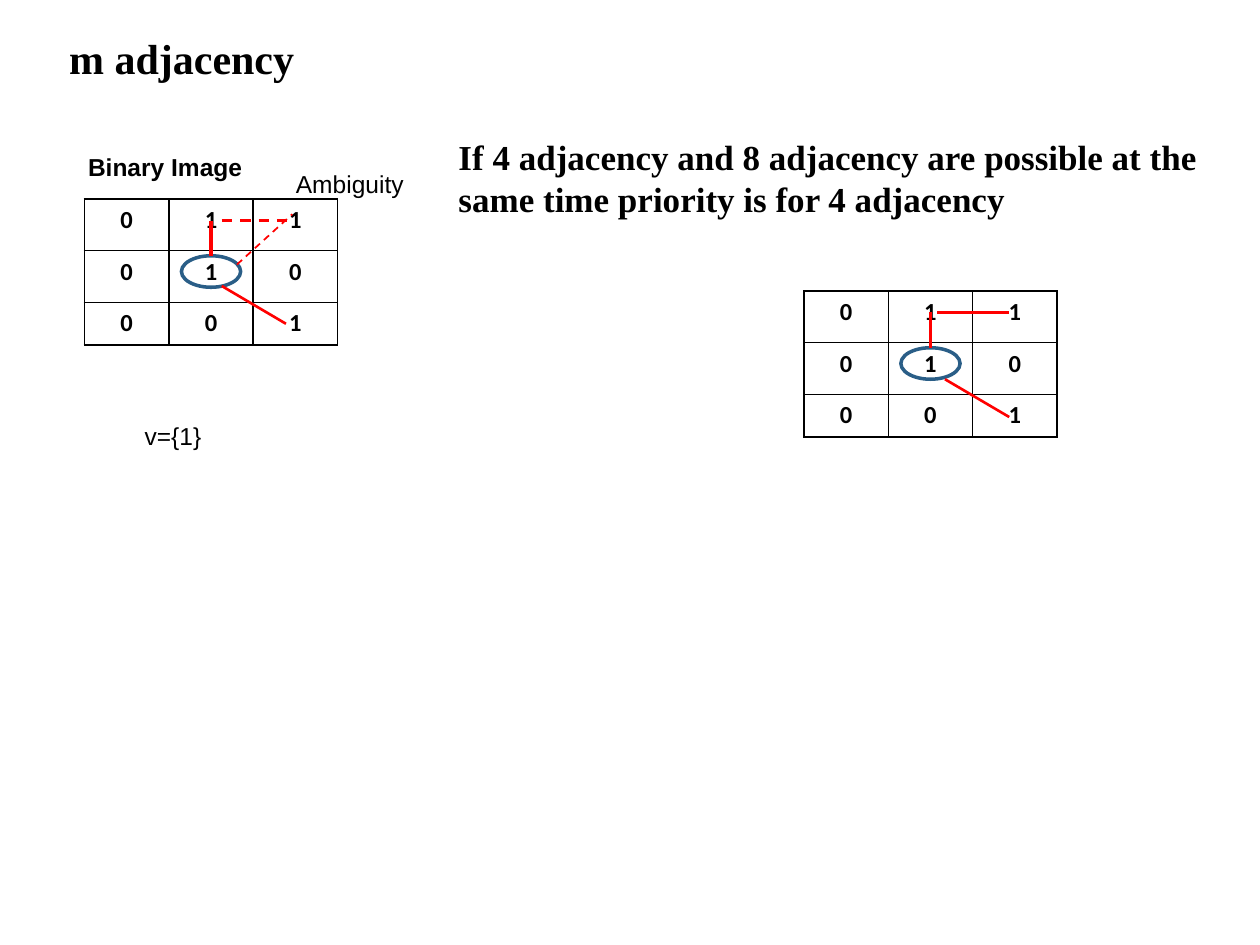
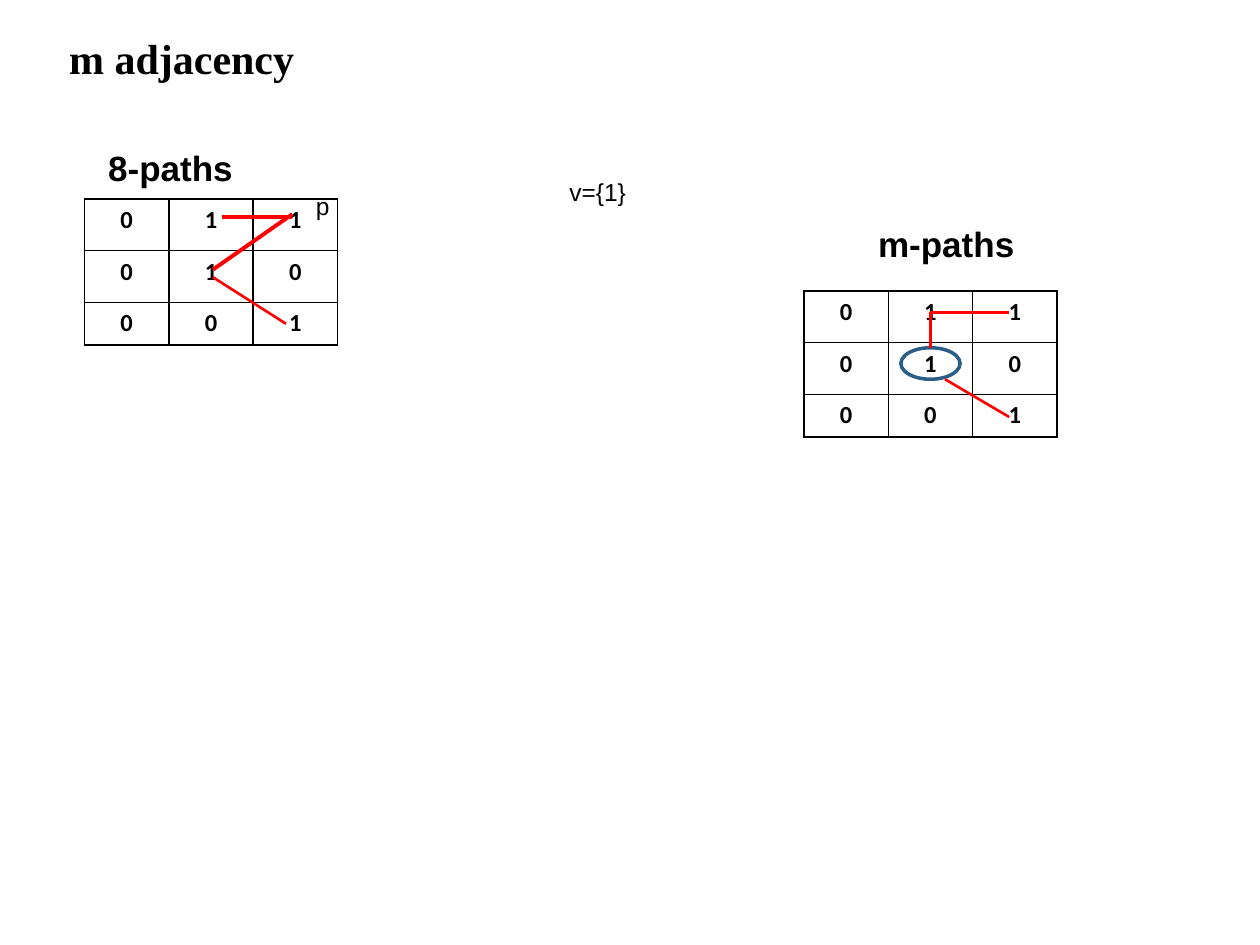
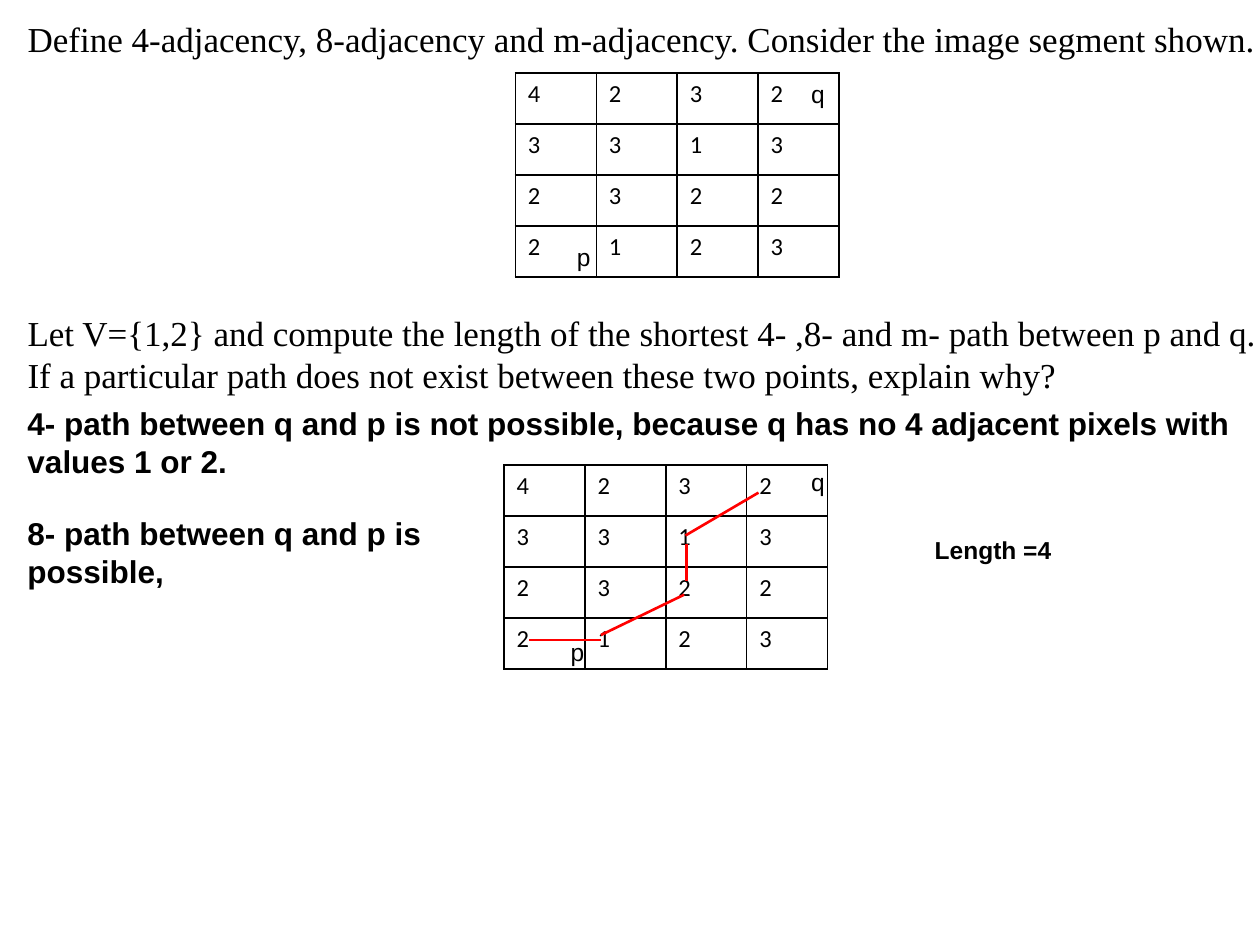
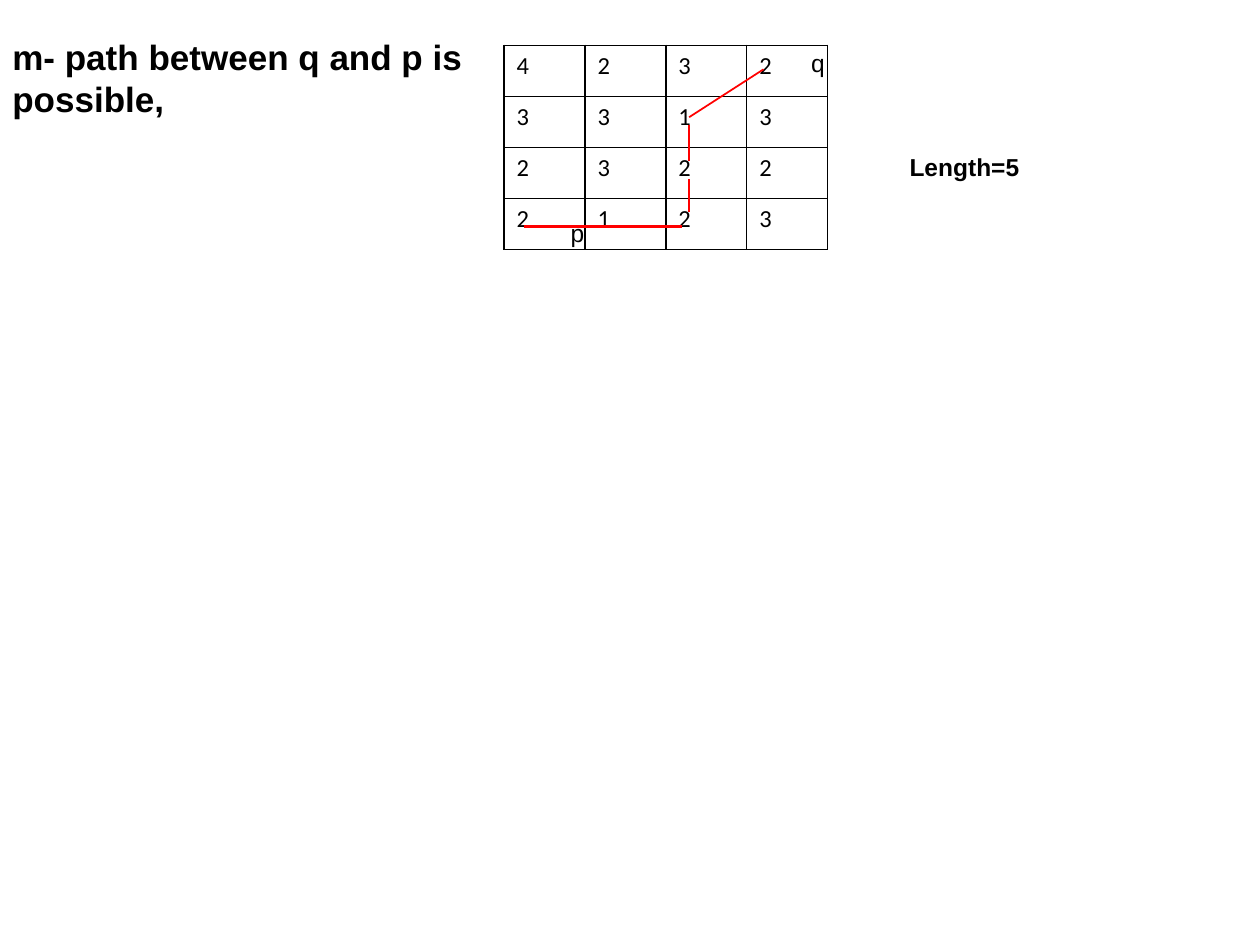
import pptx
import pptx.dml.color
import pptx.enum.dml
import pptx.enum.shapes
import pptx.enum.text
import pptx.oxml
import pptx.oxml.ns
import pptx.util
from pptx.util import Inches

COLORS = {"ink": "000000", "paper": "FFFFFF", "path": "FF0000", "ring": "2A5E87"}
SERIF, SANS, CELL_FONT = "Times New Roman", "Arial", "Calibri"

# Pixel grids
BINARY = {"values": ["011", "010", "001"], "width": 2.01, "rows": [0.41, 0.41, 0.32], "bold": True}
SEGMENT = {"values": ["4232", "3313", "2322", "2123"], "width": 2.57, "rows": [1.62 / 4] * 4, "bold": False}

# Each slide: texts (paragraphs, left, top, width, height, format),
# grids (pixels, left, top, ringed centre pixel), paths (x1, y1, x2, y2, points, dashed)
TITLE = (["m adjacency"], 0.45, 0.21, 3.09, 0.5, {"size": 24, "font": SERIF, "bold": True})
HEADING = {"size": 20, "bold": True}
ANSWER = {"size": 18, "bold": True}
SLIDES = [
    {
        "grids": [(BINARY, 0.67, 1.58, True), (BINARY, 6.38, 2.31, True)],
        "paths": [
            (1.76, 2.27, 2.27, 2.57, 1.5, False),
            (1.88, 2.1, 2.32, 1.7, 1, True),
            (1.76, 1.75, 2.32, 1.75, 1.5, True),
            (7.5, 3.01, 8.01, 3.31, 1.5, False),
            (7.44, 2.48, 8.01, 2.48, 1.5, False),
        ],
        "texts": [
            TITLE,
            (["Binary Image"], 0.6, 1.16, 2.15, 0.34, {"bold": True}),
            (["v={1}"], 1.05, 3.29, 0.94, 0.34, {}),
            (["Ambiguity"], 2.25, 1.29, 1.52, 0.34, {}),
            (["If 4 adjacency and 8 adjacency are possible at the same time priority is for 4 adjacency"],
             3.54, 1.03, 6.11, 0.77, {"size": 20, "font": SERIF, "bold": True}),
        ],
    },
    {
        "grids": [(BINARY, 0.67, 1.58, False), (BINARY, 6.38, 2.31, True)],
        "paths": [
            (1.69, 2.2, 2.27, 2.57, 1.5, False),
            (1.69, 2.14, 2.32, 1.7, 2.25, False),
            (1.76, 1.72, 2.32, 1.72, 2.25, False),
            (7.5, 3.01, 8.01, 3.31, 1.5, False),
            (7.38, 2.48, 8.01, 2.48, 1.5, False),
        ],
        "texts": [
            TITLE,
            (["8-paths"], 0.76, 1.11, 2.15, 0.44, HEADING),
            (["v={1}"], 4.42, 1.36, 0.94, 0.34, {}),
            (["p"], 2.41, 1.47, 0.36, 0.34, {}),
            (["m-paths"], 6.87, 1.72, 2.15, 0.44, HEADING),
        ],
    },
    {
        "grids": [(SEGMENT, 4.09, 0.58, False), (SEGMENT, 4, 3.69, False)],
        "paths": [
            (6.02, 3.91, 5.44, 4.25, 1.5, False),
            (5.45, 4.32, 5.45, 4.61, 1.5, False),
            (5.43, 4.72, 4.77, 5.04, 1.5, False),
            (4.77, 5.08, 4.2, 5.08, 1.5, False),
        ],
        "texts": [
            (["Define 4-adjacency, 8-adjacency and m-adjacency. Consider the image segment shown.",
              "Let V={1,2} and compute the length of the shortest 4- ,8- and m- path between p and q. "
              "If a particular path does not exist between these two points, explain why?"],
             0.12, 0.09, 9.98, 3.13, {"size": 20, "font": SERIF, "gap": 144}),
            (["q"], 6.34, 0.58, 0.46, 0.34, {}),
            (["p"], 4.48, 1.87, 0.46, 0.34, {}),
            (["4- path between q and p is not possible, because q has no 4 adjacent pixels with values 1 or 2."],
             0.12, 3.16, 10.07, 0.71, ANSWER),
            (["8- path between q and p is possible,"], 0.12, 4.03, 3.97, 0.94, ANSWER),
            (["p"], 4.43, 5.01, 0.46, 0.34, {}),
            (["q"], 6.34, 3.66, 0.46, 0.34, {}),
            (["Length =4"], 7.32, 4.2, 1.69, 0.34, {"bold": True}),
        ],
    },
    {
        "grids": [(SEGMENT, 4, 0.36, False)],
        "paths": [
            (6.06, 0.55, 5.47, 0.93, 1, False),
            (5.47, 0.99, 5.47, 1.28, 1.5, False),
            (5.47, 1.42, 5.47, 1.68, 1.5, False),
            (5.41, 1.8, 4.78, 1.8, 1.5, False),
            (4.78, 1.8, 4.16, 1.8, 1.5, False),
        ],
        "texts": [
            (["m- path between q and p is possible,"], 0, 0.23, 3.97, 1.01, HEADING),
            (["p"], 4.43, 1.68, 0.46, 0.34, {}),
            (["q"], 6.34, 0.33, 0.46, 0.34, {}),
            (["Length=5"], 7.12, 1.16, 1.52, 0.34, {"bold": True}),
        ],
    },
]


def rgb(name):
    return pptx.dml.color.RGBColor.from_string(COLORS[name])


def write(frame, paragraphs, size=14, font=SANS, bold=False, align=None, gap=0):
    """Fill a text frame, with gap points between its paragraphs."""
    for index, text in enumerate(paragraphs):
        paragraph = frame.add_paragraph() if index else frame.paragraphs[0]
        if index and gap:
            paragraph.space_before = pptx.util.Pt(gap)
        paragraph.alignment = align
        run = paragraph.add_run()
        run.text = text
        run.font.size = pptx.util.Pt(size)
        run.font.name = font
        run.font.bold = bold
        run.font.color.rgb = rgb("ink")


def add_text(slide, paragraphs, left, top, width, height, style):
    frame = slide.shapes.add_textbox(*map(Inches, (left, top, width, height))).text_frame
    frame.word_wrap = True
    frame.auto_size = pptx.enum.text.MSO_AUTO_SIZE.SHAPE_TO_FIT_TEXT
    write(frame, paragraphs, **style)


def add_path(slide, x1, y1, x2, y2, points, dashed):
    line = slide.shapes.add_connector(pptx.enum.shapes.MSO_CONNECTOR.STRAIGHT,
                                      *map(Inches, (x1, y1, x2, y2)))
    line.line.color.rgb = rgb("path")
    line.line.width = pptx.util.Pt(points)
    if dashed:
        line.line.dash_style = pptx.enum.dml.MSO_LINE.DASH
    properties = line._element.spPr
    properties.append(properties.makeelement(pptx.oxml.ns.qn("a:effectLst"), {}))
    return line


def add_borders(cell):
    properties = cell._tc.get_or_add_tcPr()
    for index, side in enumerate(("lnL", "lnR", "lnT", "lnB")):
        properties.insert(index, pptx.oxml.parse_xml(
            f'<a:{side} {pptx.oxml.ns.nsdecls("a")} w="12700"><a:solidFill>'
            f'<a:srgbClr val="{COLORS["ink"]}"/></a:solidFill></a:{side}>'))


def add_ring(slide, left, top):
    """Circle the centre pixel and join it to the pixel above."""
    ring = slide.shapes.add_shape(pptx.enum.shapes.MSO_SHAPE.OVAL,
                                  *map(Inches, (left + 0.77, top + 0.45, 0.47, 0.25)))
    ring.shadow.inherit = False
    ring.fill.background()
    ring.line.color.rgb = rgb("ring")
    ring.line.width = pptx.util.Pt(2)
    stem_x = left + 1.0
    stem = add_path(slide, stem_x, top + 0.45, stem_x, top + 0.17, 2.25, False)
    stem.begin_connect(ring, 0)
    stem.end_x = stem.begin_x


def add_grid(slide, pixels, left, top, ringed):
    values, heights = pixels["values"], pixels["rows"]
    columns = len(values[0])
    table = slide.shapes.add_table(len(values), columns, *map(
        Inches, (left, top, pixels["width"], sum(heights)))).table
    table.first_row = table.horz_banding = False
    for column in table.columns:
        column.width = Inches(pixels["width"] / columns)
    align = pptx.enum.text.PP_ALIGN.CENTER if pixels["bold"] else None
    for row, height, digits in zip(table.rows, heights, values):
        row.height = Inches(height)
        for cell, digit in zip(row.cells, digits):
            cell.fill.solid()
            cell.fill.fore_color.rgb = rgb("paper")
            add_borders(cell)
            write(cell.text_frame, [digit], font=CELL_FONT, bold=pixels["bold"], align=align)
    if ringed:
        add_ring(slide, left, top)


def main():
    presentation = pptx.Presentation()
    presentation.slide_width, presentation.slide_height = Inches(10), Inches(7.5)
    for content in SLIDES:
        slide = presentation.slides.add_slide(presentation.slide_layouts[6])
        for grid in content["grids"]:
            add_grid(slide, *grid)
        for path in content["paths"]:
            add_path(slide, *path)
        for text in content["texts"]:
            add_text(slide, *text)
    presentation.save("out.pptx")


if __name__ == "__main__":
    main()
